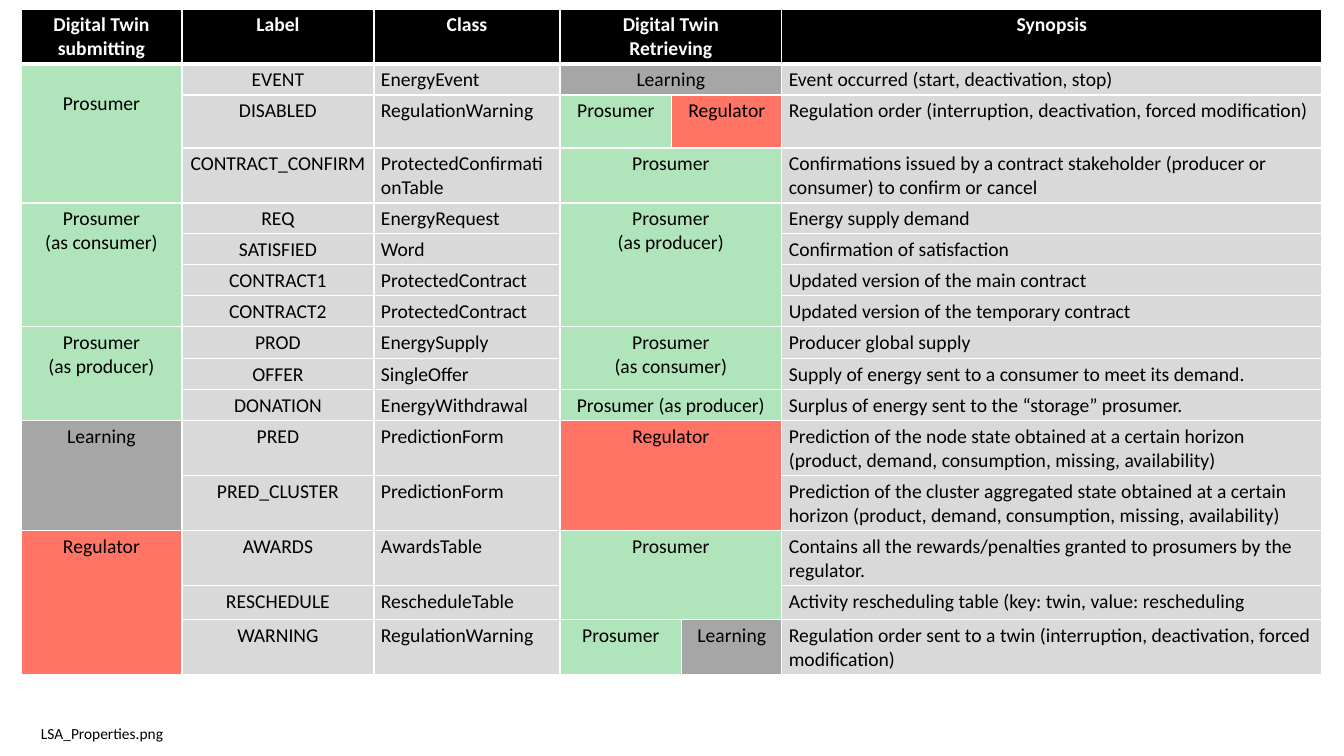
import pptx
import pptx.dml.color
import pptx.enum.text
import pptx.oxml
import pptx.oxml.ns
import pptx.util

SCALE = 12192000 / 1344
CENTER = pptx.enum.text.PP_ALIGN.CENTER
LEFT = pptx.enum.text.PP_ALIGN.LEFT

COLUMNS = [161, 192, 186, 112, 10, 100, 540]
ROWS = [55, 31, 53, 55, 31, 31, 31, 31, 32, 31, 31, 55, 55, 55, 34, 54]
ROLE_FILLS = {"Prosumer": "B0E4BA", "Learning": "A6A6A6", "Regulator": "FF7465"}

HEADERS = {0: "Digital Twin\nsubmitting", 1: "Label", 2: "Class",
           3: "Digital Twin\nRetrieving", 6: "Synopsis"}
PROPERTIES = [
    ("EVENT", "EnergyEvent", "Event occurred (start, deactivation, stop)"),
    ("DISABLED", "RegulationWarning",
     "Regulation order (interruption, deactivation, forced modification)"),
    ("CONTRACT_CONFIRM", "ProtectedConfirmationTable",
     "Confirmations issued by a contract stakeholder (producer or consumer) to confirm or cancel"),
    ("REQ", "EnergyRequest", "Energy supply demand"),
    ("SATISFIED", "Word", "Confirmation of satisfaction"),
    ("CONTRACT1", "ProtectedContract", "Updated version of the main contract"),
    ("CONTRACT2", "ProtectedContract", "Updated version of the temporary contract"),
    ("PROD", "EnergySupply", "Producer global supply"),
    ("OFFER", "SingleOffer", "Supply of energy sent to a consumer to meet its demand."),
    ("DONATION", "EnergyWithdrawal", "Surplus of energy sent to the “storage” prosumer."),
    ("PRED", "PredictionForm",
     "Prediction of the node state obtained at a certain horizon "
     "(product, demand, consumption, missing, availability)"),
    ("PRED_CLUSTER", "PredictionForm",
     "Prediction of the cluster aggregated state obtained at a certain horizon "
     "(product, demand, consumption, missing, availability)"),
    ("AWARDS", "AwardsTable",
     "Contains all the rewards/penalties granted to prosumers by the regulator."),
    ("RESCHEDULE", "RescheduleTable",
     "Activity rescheduling table (key: twin, value: rescheduling"),
    ("WARNING", "RegulationWarning",
     "Regulation order sent to a twin (interruption, deactivation, forced modification)"),
]
# row, column, row span, column span, twin
TWINS = [
    (1, 0, 3, 1, "Prosumer"),
    (4, 0, 4, 1, "Prosumer\n(as consumer)"),
    (8, 0, 3, 1, "Prosumer\n(as producer)"),
    (11, 0, 2, 1, "Learning"),
    (13, 0, 3, 1, "Regulator"),
    (1, 3, 1, 3, "Learning"),
    (2, 3, 1, 1, "Prosumer"),
    (2, 4, 1, 2, "Regulator"),
    (3, 3, 1, 3, "Prosumer"),
    (4, 3, 4, 3, "Prosumer\n(as producer)"),
    (8, 3, 2, 3, "Prosumer\n(as consumer)"),
    (10, 3, 1, 3, "Prosumer (as producer)"),
    (11, 3, 2, 3, "Regulator"),
    (13, 3, 2, 3, "Prosumer"),
    (15, 3, 1, 2, "Prosumer"),
    (15, 5, 1, 1, "Learning"),
]


def px(n):
    return pptx.util.Emu(round(n * SCALE))


def rgb(value):
    return pptx.dml.color.RGBColor.from_string(value)


def format_text(tf, size, color, bold=False, align=LEFT):
    values = {"name": "Calibri", "size": pptx.util.Pt(size), "bold": bold}
    for p in tf.paragraphs:
        p.alignment = align
        for r in p.runs:
            for name, value in values.items():
                setattr(r.font, name, value)
            r.font.color.rgb = rgb(color)


def set_borders(cell, row):
    tcPr = cell._tc.get_or_add_tcPr()
    for i, edge in enumerate(("lnL", "lnR", "lnT", "lnB")):
        points = 3 if (row, edge) in ((0, "lnB"), (1, "lnT")) else 1
        tcPr.insert(i, pptx.oxml.parse_xml(
            f'<a:{edge} {pptx.oxml.ns.nsdecls("a")} w="{pptx.util.Pt(points)}">'
            f'<a:solidFill><a:srgbClr val="FFFFFF"/></a:solidFill></a:{edge}>'))


def fill_cell(table, row, col, text, fill, color="000000", bold=False, align=CENTER):
    cell = table.cell(row, col)
    cell.text = text
    cell.fill.solid()
    cell.fill.fore_color.rgb = rgb(fill)
    margins = {"margin_left": 7, "margin_right": 7, "margin_top": 4, "margin_bottom": 3}
    for name, value in margins.items():
        setattr(cell, name, px(value))
    format_text(cell.text_frame, 14, color, bold, align)


def add_properties_table(slide, x, y):
    table = slide.shapes.add_table(len(ROWS), len(COLUMNS), px(x), px(y),
                                   px(sum(COLUMNS)), px(sum(ROWS))).table
    for column, width in zip(table.columns, COLUMNS):
        column.width = px(width)
    for row, height in zip(table.rows, ROWS):
        row.height = px(height)

    table.cell(0, 3).merge(table.cell(0, 5))
    for col, text in HEADERS.items():
        fill_cell(table, 0, col, text, "000000", "FFFFFF", True)
    for row, texts in enumerate(PROPERTIES, 1):
        for col, text, align in zip((1, 2, 6), texts, (CENTER, LEFT, LEFT)):
            fill_cell(table, row, col, text, "D9D9D9", align=align)
    for row, col, height, width, text in TWINS:
        if height * width > 1:
            table.cell(row, col).merge(table.cell(row + height - 1, col + width - 1))
        fill_cell(table, row, col, text, ROLE_FILLS[text.split()[0]])
    table.cell(1, 0).margin_top = px(28)

    for row in range(len(ROWS)):
        for col in range(len(COLUMNS)):
            set_borders(table.cell(row, col), row)


def add_file_name(slide, x, y, w, h):
    tf = slide.shapes.add_textbox(px(x), px(y), px(w), px(h)).text_frame
    tf.word_wrap = True
    tf.text = "LSA_Properties.png"
    format_text(tf, 11, "000000")


def main():
    prs = pptx.Presentation()
    prs.slide_width, prs.slide_height = px(1344), px(756)
    slide = prs.slides.add_slide(prs.slide_layouts[6])
    add_properties_table(slide, 21, 9)
    add_file_name(slide, 31, 719, 672, 29)
    prs.save("out.pptx")


if __name__ == "__main__":
    main()
